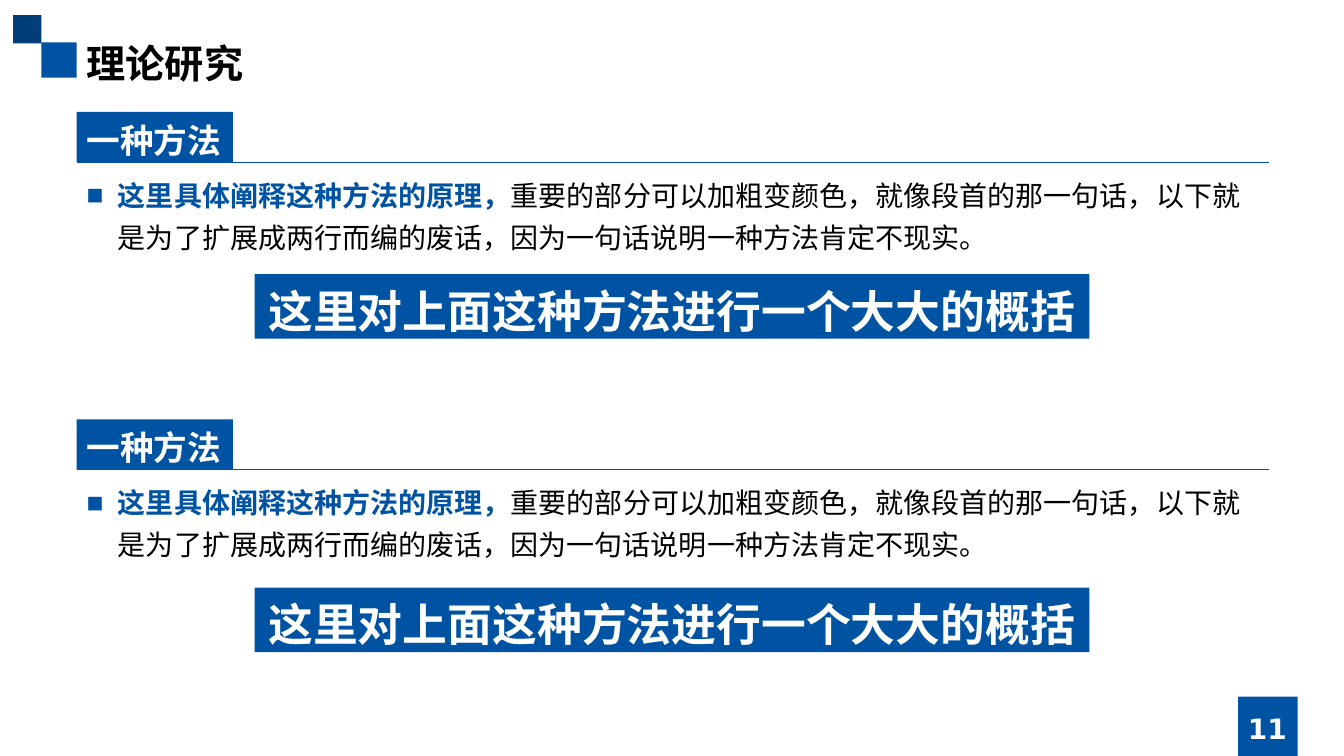
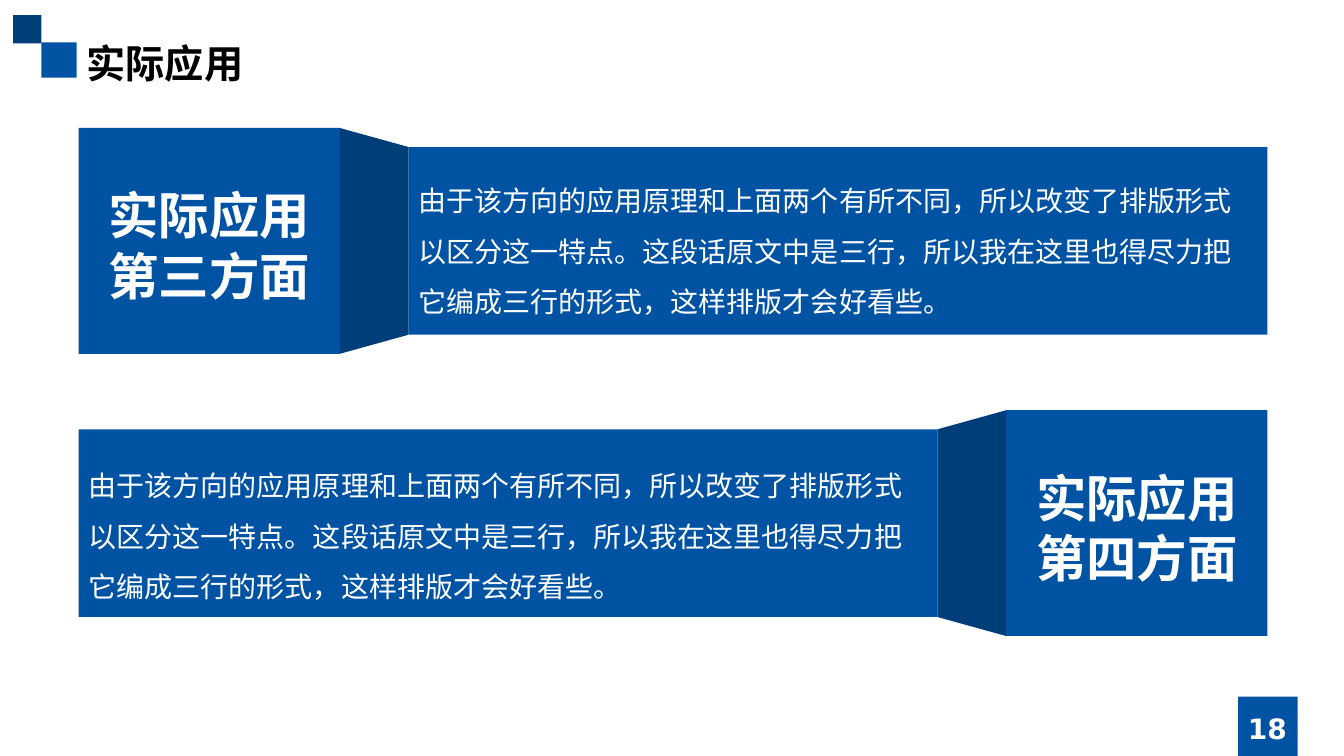
from lxml.etree import SubElement
from pptx import Presentation
from pptx.dml.color import RGBColor
from pptx.enum.shapes import MSO_CONNECTOR as LINE, MSO_SHAPE as SHAPE
from pptx.enum.text import MSO_ANCHOR as ANCHOR, MSO_AUTO_SIZE as FIT, PP_ALIGN as ALIGN
from pptx.oxml.ns import qn
from pptx.util import Inches, Pt

BLUE, NAVY, WHITE, BLACK = "0053A3", "003E7A", "FFFFFF", "000000"
CJK = "Noto Sans CJK SC"
LINE_HEIGHT = 1.2
BASELINE_DROP = 0.09

METHOD = "一种方法"
PRINCIPLE = "这里具体阐释这种方法的原理，"
DETAIL = ("重要的部分可以加粗变颜色，就像段首的那一句话，以下就是为了扩展成两行而编的废话，"
          "因为一句话说明一种方法肯定不现实。")
SUMMARY = "这里对上面这种方法进行一个大大的概括"
APPLICATION = "实际应用"
PROSE = ("由于该方向的应用原理和上面两个有所不同，所以改变了排版形式以区分这一特点。"
         "这段话原文中是三行，所以我在这里也得尽力把它编成三行的形式，这样排版才会好看些。")


def color(hex_code):
    return RGBColor.from_string(hex_code)


def place(part, box):
    part.left, part.top, part.width, part.height = map(Inches, box)


def add_block(slide, box, fill=BLUE, shape=SHAPE.RECTANGLE):
    block = slide.shapes.add_shape(shape, *map(Inches, box))
    block.shadow.inherit = False
    block.fill.solid()
    block.fill.fore_color.rgb = color(fill)
    block.line.fill.background()
    return block


def write(part, *paragraphs, size, font="Arial", fill=WHITE, bold=False, align=ALIGN.LEFT,
          spacing=1, anchor=ANCHOR.TOP, wrap=True):
    frame = part.text_frame
    frame.auto_size = FIT.NONE
    frame.word_wrap = wrap
    frame.vertical_anchor = anchor
    frame.margin_left = frame.margin_right = Inches(0.1)
    frame.margin_top = Inches(0.05) + Pt(size * BASELINE_DROP)
    frame.margin_bottom = Inches(0.05)
    for index, words in enumerate(paragraphs):
        paragraph = frame.add_paragraph() if index else frame.paragraphs[0]
        paragraph.alignment = align
        paragraph.space_before = Pt(0)
        paragraph.line_spacing = Pt(size * LINE_HEIGHT * spacing)
        add_run(paragraph, words, size=size, font=font, fill=fill, bold=bold)
    return frame


def add_run(paragraph, words, size, font="Arial", fill=WHITE, bold=False):
    run = paragraph.add_run()
    run.text = words
    run.font.size = Pt(size)
    run.font.name = font
    run.font.bold = bold
    run.font.color.rgb = color(fill)
    SubElement(run.font._element, qn("a:ea"), typeface=CJK)


def add_text(slide, box, *paragraphs, **style):
    return write(slide.shapes.add_textbox(*map(Inches, box)), *paragraphs, **style)


def add_rule(slide, left, top, width):
    rule = slide.shapes.add_connector(
        LINE.STRAIGHT, Inches(left), Inches(top), Inches(left + width), Inches(top))
    rule.line.color.rgb = color(BLUE)
    rule.line.width = Pt(0.5)
    SubElement(rule._element.spPr, qn("a:effectLst"))


def start_slide(deck, layout, heading, number):
    slide = deck.slides.add_slide(deck.slide_layouts[layout])
    add_block(slide, (0.41, 0.42, 0.35, 0.35))
    add_block(slide, (0.13, 0.15, 0.28, 0.28), fill=NAVY)
    add_block(slide, (12.28, 6.91, 0.59, 0.59))
    title = slide.shapes.title
    place(title, (0.76, 0.31, 11.81, 0.57))
    write(title, heading, size=28, font=CJK, fill=BLACK, bold=True)
    add_text(slide, (11.81, 7.01, 1.52, 0.4), number, size=20, font="DejaVu Sans",
             bold=True, align=ALIGN.CENTER, anchor=ANCHOR.MIDDLE)
    return slide


def add_bullet(paragraph):
    properties = paragraph._p.get_or_add_pPr()
    properties.set("marL", str(Inches(0.31)))
    properties.set("indent", str(-Inches(0.31)))
    SubElement(properties, qn("a:buFont"), typeface="Arial")
    SubElement(properties, qn("a:buChar"), char="■")


def method_section(slide, body, box, summary_offset):
    left, top, width, body_height = box
    label_height = 0.5
    label = add_block(slide, (left, top, 1.55, label_height))
    write(label, METHOD, size=24, font="DejaVu Sans", bold=True, wrap=False)
    add_rule(slide, left, top + label_height, width + 0.02)
    place(body, (left, top + label_height, width, body_height))
    explanation = write(body, PRINCIPLE, size=20, fill=BLUE, bold=True, spacing=1.25).paragraphs[0]
    add_run(explanation, DETAIL, size=20, fill=BLACK)
    add_bullet(explanation)
    summary_width = 8.28
    summary = add_block(slide, (left + (width - summary_width) / 2, top + summary_offset,
                                summary_width, 0.64))
    write(summary, SUMMARY, size=32, font="DejaVu Sans", bold=True,
          align=ALIGN.CENTER, wrap=False)


def aspect_banner(slide, box, aspect, prose_height, mirrored=False):
    left, top, width, height = box
    cap_width, fold_width, inset = 2.59, 0.68, 0.19
    panel_width = width - cap_width - fold_width
    middle = top + height / 2
    if mirrored:
        panel_left, fold_left = left, left + panel_width
        cap_left = fold_left + fold_width
    else:
        cap_left, fold_left = left, left + cap_width
        panel_left = fold_left + fold_width
    add_block(slide, (cap_left, top, cap_width, height))
    add_block(slide, (panel_left, top + inset, panel_width, height - 2 * inset))
    fold = add_block(slide, (fold_left + (fold_width - height) / 2, middle - fold_width / 2,
                             height, fold_width), fill=NAVY, shape=SHAPE.TRAPEZOID)
    fold.adjustments[0] = 0.277
    fold.rotation = 270 if mirrored else 90
    aspect_height = 1.31
    add_text(slide, (cap_left, middle - aspect_height / 2, cap_width, aspect_height),
             APPLICATION, aspect, size=36, bold=True, align=ALIGN.CENTER)
    add_text(slide, (panel_left, middle - prose_height / 2, panel_width, prose_height),
             PROSE, size=20, spacing=1.5)


def theory_slide(deck):
    slide = start_slide(deck, 3, "理论研究", "11")
    first, second = slide.placeholders[1], slide.placeholders[2]
    method_section(slide, first, (0.76, 1.11, 11.81, 0.94), summary_offset=1.61)
    method_section(slide, second, (0.76, 4.16, 11.81, 0.9), summary_offset=1.67)


def application_slide(deck):
    slide = start_slide(deck, 5, APPLICATION, "18")
    aspect_banner(slide, (0.78, 1.27, 11.79, 2.24), "第三方面", prose_height=1.62)
    aspect_banner(slide, (0.78, 4.07, 11.79, 2.24), "第四方面", prose_height=1.56, mirrored=True)


deck = Presentation()
deck.slide_width, deck.slide_height = Inches(13.33), Inches(7.5)
theory_slide(deck)
application_slide(deck)
deck.save("out.pptx")
